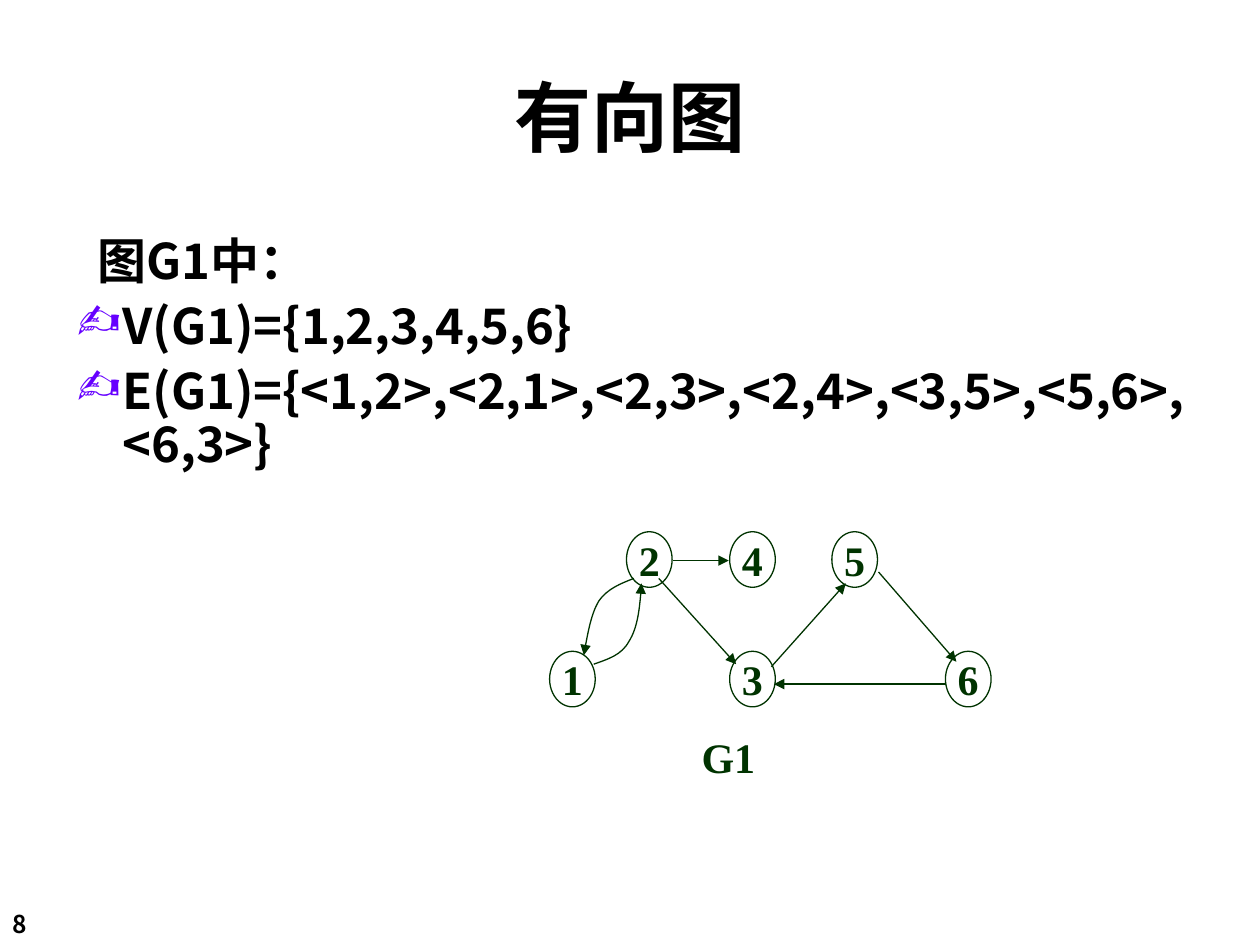
from lxml import etree
from pptx import Presentation
from pptx.dml.color import RGBColor
from pptx.enum import shapes, text
from pptx.oxml import ns
from pptx.util import Cm, Pt

COLORS = {"ink": "000000", "graph": "003300", "bullet": "6600FF"}
SANS, SERIF, SYMBOLS = "Noto Sans CJK SC", "Times New Roman", "Wingdings"
NODE_WIDTH, NODE_HEIGHT = 0.92, 1.12
UPPER, LOWER = 0, 2.41
NODES = {
    "2": (1.55, UPPER), "4": (3.63, UPPER), "5": (5.69, UPPER),
    "1": (0, LOWER), "3": (3.63, LOWER), "6": (7.98, LOWER),
}
STRAIGHT_EDGES = [
    ((2.48, 0.58), (3.61, 0.58)),
    ((2.2, 0.94), (3.76, 2.67)),
    ((8, 3.07), (4.52, 3.07)),
    ((4.47, 2.72), (5.97, 1.04)),
    ((6.63, 0.81), (8.2, 2.62)),
]
CURVED_EDGES = [
    [(1.7, 0.94), (1.45, 1.04), (1.17, 1.14), (0.99, 1.4),
     (0.84, 1.65), (0.71, 2.34), (0.69, 2.49)],
    [(0.89, 2.67), (1.17, 2.57), (1.45, 2.49), (1.6, 2.21),
     (1.78, 1.93), (1.85, 1.22), (1.85, 1.04)],
]


def add_node(parent, tag, **attributes):
    """Append a drawing element to an XML parent."""
    return etree.SubElement(parent, ns.qn(tag), attributes)


def add_span(para, wording, size, font, color):
    """Add one bold run to a paragraph."""
    span = para.add_run()
    span.text = wording
    span.font.size, span.font.bold, span.font.name = Pt(size), True, font
    span.font.color.rgb = RGBColor.from_string(COLORS[color])
    add_node(span.font._element, "a:ea", typeface=font)


def add_box(parent, left, top, width, height):
    """Add a wrapping text box and return its text frame."""
    box = parent.shapes.add_textbox(Cm(left), Cm(top), Cm(width), Cm(height))
    box.text_frame.word_wrap = True
    return box.text_frame


def center_text(frame, wording, size, font, color):
    """Centre one line of text in a frame, both ways."""
    frame.vertical_anchor = text.MSO_ANCHOR.MIDDLE
    para = frame.paragraphs[0]
    para.alignment = text.PP_ALIGN.CENTER
    add_span(para, wording, size, font, color)


def style_line(line):
    """Give an outline the thin graph stroke."""
    line.color.rgb = RGBColor.from_string(COLORS["graph"])
    line.width = Pt(0.75)


def add_arrowhead(edge):
    """Style an edge and point it at its last vertex."""
    style_line(edge.line)
    add_node(edge.line._get_or_add_ln(), "a:tailEnd", type="triangle")


def add_title(page, left, top, width, height):
    """Place the slide title."""
    frame = add_box(page, left, top, width, height)
    center_text(frame, "有向图", 44, SANS, "ink")


def add_definition(page, left, top, width, height):
    """Place the lead-in and the bulleted vertex and edge sets."""
    frame = add_box(page, left, top, width, height)
    lines = [
        ("图G1中：", -0.5, False),
        ("V(G1)={1,2,3,4,5,6}", -0.95, True),
        ("E(G1)={<1,2>,<2,1>,<2,3>,<2,4>,<3,5>,<5,6>,<6,3>}", -0.95, True),
    ]
    for index, (wording, indent, bulleted) in enumerate(lines):
        para = frame.add_paragraph() if index else frame.paragraphs[0]
        para.line_spacing = 0.9
        if index:
            para.space_before = Pt(7)
        properties = para._p.get_or_add_pPr()
        properties.set("marL", str(Cm(0.95)))
        properties.set("indent", str(Cm(indent)))
        if bulleted:
            color = add_node(properties, "a:buClr")
            add_node(color, "a:srgbClr", val=COLORS["bullet"])
            add_node(properties, "a:buFont", typeface=SYMBOLS)
            add_node(properties, "a:buChar", char="✿")
        add_span(para, wording, 28, SANS, "ink")


def add_vertex(group, label, left, top):
    """Draw one labelled vertex."""
    vertex = group.shapes.add_shape(
        shapes.MSO_SHAPE.OVAL, Cm(left), Cm(top), Cm(NODE_WIDTH), Cm(NODE_HEIGHT))
    vertex.shadow.inherit = False
    vertex.fill.background()
    style_line(vertex.line)
    vertex.text_frame.word_wrap = False
    center_text(vertex.text_frame, label, 24, SERIF, "graph")


def add_straight_edge(group, start, end):
    """Draw a straight directed edge."""
    edge = group.shapes.add_connector(
        shapes.MSO_CONNECTOR.STRAIGHT, *map(Cm, start + end))
    add_arrowhead(edge)
    add_node(edge._element.spPr, "a:effectLst")


def add_curved_edge(group, points):
    """Draw a directed edge through cubic Bézier control points."""
    start, *controls = [(Cm(x), Cm(y)) for x, y in points]
    builder = group.shapes.build_freeform(*start)
    builder.add_line_segments(controls, close=False)
    edge = builder.convert_to_shape()
    edge.shadow.inherit = False
    edge.fill.background()
    segments = list(edge._element.iter(ns.qn("a:lnTo")))
    for first in range(0, len(segments), 3):
        curve = add_node(segments[first].getparent(), "a:cubicBezTo")
        for segment in segments[first:first + 3]:
            curve.append(segment[0])
            segment.getparent().remove(segment)
    add_arrowhead(edge)


def add_caption(group, left, top, width, height):
    """Place the graph's name on one line, using the full box width."""
    frame = add_box(group, left, top, width, height)
    frame.margin_left = frame.margin_right = 0
    center_text(frame, "G1", 24, SERIF, "graph")


def add_graph(page, left, top):
    """Draw the directed graph with its caption."""
    group = page.shapes.add_group_shape()

    def place(point):
        """Shift a point into the graph box."""
        return left + point[0], top + point[1]

    for label, corner in NODES.items():
        add_vertex(group, label, *place(corner))
    for start, end in STRAIGHT_EDGES:
        add_straight_edge(group, place(start), place(end))
    for points in CURVED_EDGES:
        add_curved_edge(group, map(place, points))
    add_caption(group, *place((2.82, 3.89)), 1.57, 1.27)


def add_page_number(page, left, top, width, height):
    """Place the page number."""
    frame = add_box(page, left, top, width, height)
    add_span(frame.paragraphs[0], "8", 14, SANS, "ink")


def main():
    """Build and save the one-page deck."""
    deck = Presentation()
    deck.slide_width, deck.slide_height = Cm(25.4), Cm(19.05)
    page = deck.slides.add_slide(deck.slide_layouts[6])
    add_page_number(page, 0, 18.2, 2.1, 0.86)
    add_title(page, 1.07, 1.07, 23.28, 2.54)
    add_definition(page, 1.27, 4.65, 23.06, 5.08)
    add_graph(page, 11.08, 10.72)
    deck.save("out.pptx")


if __name__ == "__main__":
    main()
